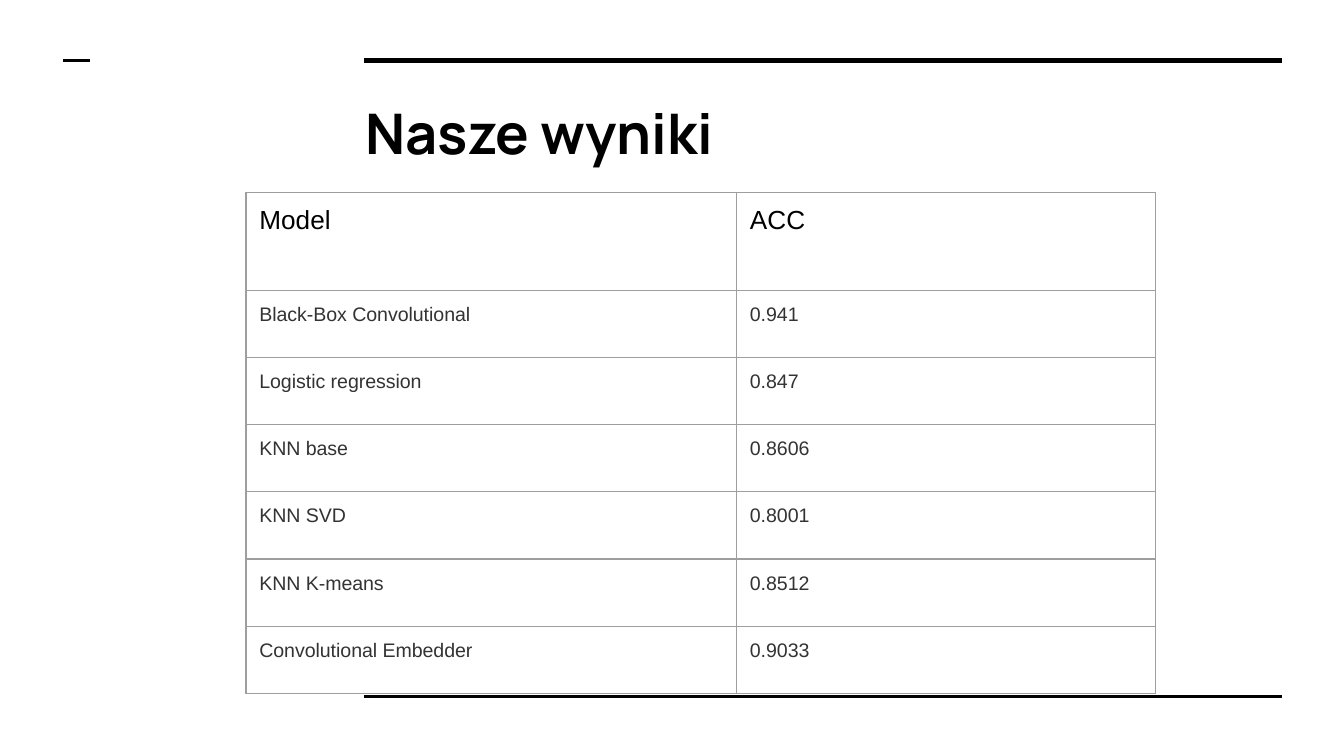
"""Build the slide with the table of model accuracy results."""
from lxml import etree
from pptx import Presentation
from pptx import util as u
from pptx.dml.color import RGBColor
from pptx.enum import shapes, text
from pptx.oxml import ns

BLACK = RGBColor(0x00, 0x00, 0x00)
DARK = RGBColor(0x33, 0x33, 0x33)
GREY = RGBColor(0x9E, 0x9E, 0x9E)

TITLE = "Nasze wyniki"
RESULTS = [
    ("Model", "ACC"),
    ("Black-Box Convolutional", "0.941"),
    ("Logistic regression", "0.847"),
    ("KNN base", "0.8606"),
    ("KNN SVD", "0.8001"),
    ("KNN K-means", "0.8512"),
    ("Convolutional Embedder", "0.9033"),
]
RULES = [(2.71, 9.54, 0.45, 3), (2.71, 9.54, 5.18, 1.5), (0.47, 0.67, 0.45, 1.5)]
COL_WIDTHS = [3.65, 3.12]
ROW_HEIGHTS = [0.73] + [0.5] * (len(RESULTS) - 1)
TITLE_FONT = {"name": "Manrope", "size": u.Pt(30), "bold": True}
HEAD_FONT = {"name": "Arial", "size": u.Pt(14), "bold": False}
BODY_FONT = {"name": "Arial", "size": u.Pt(10.5), "bold": False}
MARGINS = {f"margin_{side}": u.Inches(0.1) for side in ("left", "right", "top", "bottom")}


def set_attrs(obj, values):
    for name, value in values.items():
        setattr(obj, name, value)


def write(tf, words, font, color):
    p = tf.paragraphs[0]
    p.alignment = text.PP_ALIGN.LEFT
    r = p.add_run()
    r.text = words
    set_attrs(r.font, font)
    r.font.color.rgb = color


def add_rule(s, x1, x2, y, width):
    sp = s.shapes.add_connector(
        shapes.MSO_CONNECTOR.STRAIGHT, *map(u.Inches, (x1, y, x2, y)))
    sp.line.color.rgb = BLACK
    sp.line.width = u.Pt(width)
    etree.SubElement(sp._element.spPr, ns.qn("a:effectLst"))


def add_borders(cell):
    tc_pr = cell._tc.get_or_add_tcPr()
    for i, side in enumerate("LRTB"):
        ln = etree.Element(ns.qn(f"a:ln{side}"), w=str(u.Pt(0.75)))
        fill = etree.SubElement(ln, ns.qn("a:solidFill"))
        etree.SubElement(fill, ns.qn("a:srgbClr"), val=str(GREY))
        tc_pr.insert(i, ln)


def add_results(s):
    size = map(u.Inches, (1.83, 1.43, sum(COL_WIDTHS), sum(ROW_HEIGHTS)))
    table = s.shapes.add_table(len(RESULTS), len(COL_WIDTHS), *size).table
    set_attrs(table, {"first_row": False, "horz_banding": False})
    for col, width in zip(table.columns, COL_WIDTHS):
        col.width = u.Inches(width)
    for i, (row, values) in enumerate(zip(table.rows, RESULTS)):
        row.height = u.Inches(ROW_HEIGHTS[i])
        font, color = (BODY_FONT, DARK) if i else (HEAD_FONT, BLACK)
        for cell, value in zip(row.cells, values):
            set_attrs(cell, MARGINS)
            cell.fill.background()
            add_borders(cell)
            write(cell.text_frame, value, font, color)


def main():
    prs = Presentation()
    prs.slide_width = u.Inches(10)
    prs.slide_height = prs.slide_width * 9 // 16
    s = prs.slides.add_slide(prs.slide_layouts[5])
    for rule in RULES:
        add_rule(s, *rule)
    title = s.shapes.title
    set_attrs(title, dict(zip(("left", "top", "width", "height"),
                              map(u.Inches, (2.62, 0.63, 6.91, 0.69)))))
    tf = title.text_frame
    set_attrs(tf, {**MARGINS, "word_wrap": True, "auto_size": text.MSO_AUTO_SIZE.NONE,
                   "vertical_anchor": text.MSO_ANCHOR.TOP})
    write(tf, TITLE, TITLE_FONT, BLACK)
    add_results(s)
    prs.save("out.pptx")


if __name__ == "__main__":
    main()
